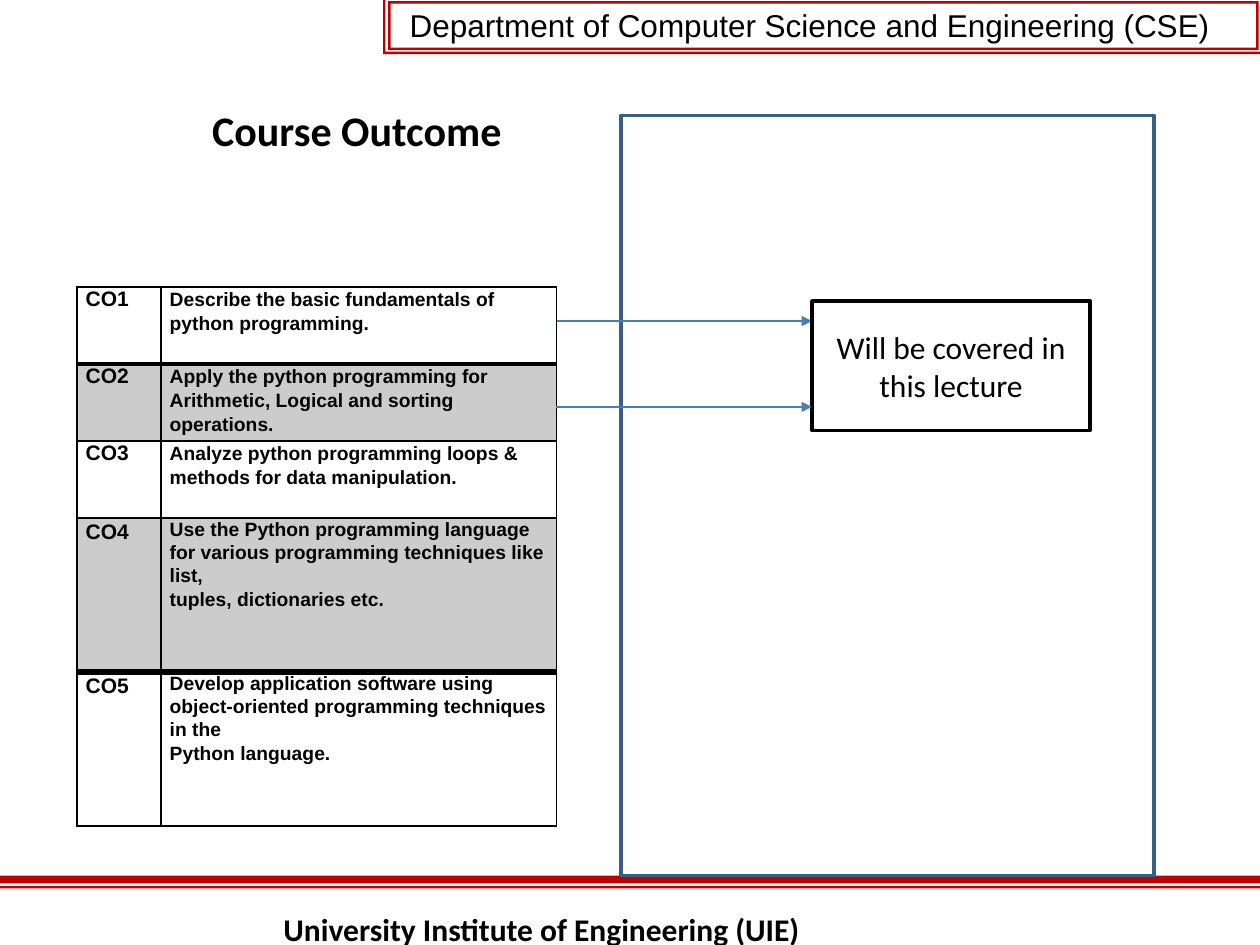
"""Build the course outcome slide with its table of outcomes and lecture coverage."""
from dataclasses import dataclass

from lxml.etree import SubElement
from pptx import Presentation
from pptx.dml.color import RGBColor
from pptx.enum.shapes import MSO_CONNECTOR, MSO_SHAPE
from pptx.enum.text import MSO_ANCHOR, MSO_AUTO_SIZE, PP_ALIGN
from pptx.oxml.ns import qn
from pptx.util import Pt

BLACK = RGBColor(0, 0, 0)
WHITE = RGBColor(255, 255, 255)
GRAY = RGBColor(0xCC, 0xCC, 0xCC)
RED = RGBColor(0xC0, 0, 0)
PANEL_BLUE = RGBColor(0x39, 0x5E, 0x89)
ARROW_BLUE = RGBColor(0x4A, 0x7D, 0xBA)


@dataclass(frozen=True)
class Box:
    left: float
    top: float
    width: float
    height: float

    def lengths(self) -> tuple:
        return Pt(self.left), Pt(self.top), Pt(self.width), Pt(self.height)

    def corners(self) -> list:
        right, bottom = self.left + self.width, self.top + self.height
        return [(self.left, self.top), (right, self.top), (right, bottom), (self.left, bottom)]


@dataclass(frozen=True)
class Outcome:
    code: str
    lines: tuple
    height: float
    code_spacing: float
    line_spacings: tuple
    fill: RGBColor = WHITE
    top_border: float = 1
    bottom_border: float = 1
    space_before: float = 0


OUTCOMES = [
    Outcome("CO1", ("Describe the basic fundamentals of python programming.",),
            44, 13.6, (Pt(13.6),), bottom_border=2),
    Outcome("CO2", ("Apply the python programming for Arithmetic, Logical and sorting operations.",),
            44, 13.7, (Pt(13.7),), GRAY, top_border=2, space_before=0.1),
    Outcome("CO3", ("Analyze python programming loops & methods for data manipulation.",),
            44, 13.6, (Pt(13.6),)),
    Outcome("CO4", ("Use the Python programming language for various programming techniques like list,",
                    "tuples, dictionaries etc."),
            88, 14.6, (1.07, Pt(13.7)), GRAY, bottom_border=4),
    Outcome("CO5", ("Develop application software using object-oriented programming techniques in the",
                    "Python language."),
            88, 14.6, (1.07, Pt(13.8)), top_border=4),
]


def format_text(paragraph, size: float, font: str, bold: bool = False, indent: float = 0) -> None:
    if indent:
        properties = paragraph._p.get_or_add_pPr()
        properties.set("marL", str(Pt(indent)))
        properties.set("indent", "0")
    for run in paragraph.runs:
        run.font.size = Pt(size)
        run.font.name = font
        run.font.bold = bold
        run.font.color.rgb = BLACK


def draw_contours(slide, contours: list) -> None:
    scaled = [[(Pt(x), Pt(y)) for x, y in contour] for contour in contours]
    builder = slide.shapes.build_freeform(*scaled[0][0])
    builder.add_line_segments(scaled[0][1:], close=True)
    for contour in scaled[1:]:
        builder.move_to(*contour[0])
        builder.add_line_segments(contour[1:], close=True)
    band = builder.convert_to_shape()
    band.shadow.inherit = False
    band.fill.solid()
    band.fill.fore_color.rgb = RED
    band.line.fill.background()


def add_frame(slide, box: Box, color: RGBColor):
    frame = slide.shapes.add_shape(MSO_SHAPE.RECTANGLE, *box.lengths())
    frame.shadow.inherit = False
    frame.fill.background()
    frame.line.color.rgb = color
    frame.line.width = Pt(2)
    return frame


def add_label(slide, box: Box, text: str, font: str, bold: bool = False, indent: float = 0):
    label = slide.shapes.add_textbox(*box.lengths())
    label.text_frame.word_wrap = True
    label.text_frame.text = text
    format_text(label.text_frame.paragraphs[0], 18, font, bold, indent)
    return label


def add_arrow(slide, y: float) -> None:
    arrow = slide.shapes.add_connector(MSO_CONNECTOR.STRAIGHT, Pt(318), Pt(y), Pt(464), Pt(y))
    arrow.line.color.rgb = ARROW_BLUE
    arrow.line.width = Pt(0.75)
    SubElement(arrow.line._get_or_add_ln(), qn("a:tailEnd"), type="triangle")
    SubElement(arrow._element.spPr, qn("a:effectLst"))


def fill_cell(cell, outcome: Outcome, lines: tuple, spacings: tuple, size: float) -> None:
    cell.margin_left = cell.margin_right = cell.margin_top = cell.margin_bottom = 0
    cell.text_frame.text = "\n".join(lines)
    for paragraph, spacing in zip(cell.text_frame.paragraphs, spacings):
        format_text(paragraph, size, "Arial", True, 5)
        paragraph.line_spacing = spacing
    if outcome.space_before:
        cell.text_frame.paragraphs[0].space_before = Pt(outcome.space_before)
    borders = {"a:lnL": 1, "a:lnR": 1, "a:lnT": outcome.top_border, "a:lnB": outcome.bottom_border}
    for tag, width in borders.items():
        border = SubElement(cell._tc.get_or_add_tcPr(), qn(tag), w=str(Pt(width)))
        SubElement(SubElement(border, qn("a:solidFill")), qn("a:srgbClr"), val=str(BLACK))
    cell.fill.solid()
    cell.fill.fore_color.rgb = outcome.fill


def add_outcomes(slide) -> None:
    box = Box(44, 164, 274, sum(outcome.height for outcome in OUTCOMES))
    table = slide.shapes.add_table(len(OUTCOMES), 2, *box.lengths()).table
    table.first_row = table.horz_banding = False
    for column, width in zip(table.columns, (48, 226)):
        column.width = Pt(width)
    for index, outcome in enumerate(OUTCOMES):
        table.rows[index].height = Pt(outcome.height)
        fill_cell(table.cell(index, 0), outcome, (outcome.code,), (Pt(outcome.code_spacing),), 12)
        fill_cell(table.cell(index, 1), outcome, outcome.lines, outcome.line_spacings, 11)


def main() -> None:
    presentation = Presentation()
    presentation.slide_width, presentation.slide_height = Pt(720), Pt(540)
    slide = presentation.slides.add_slide(presentation.slide_layouts[5])

    draw_contours(slide, [Box(0, 500.4, 720, 4.3).corners(), Box(0, 506.2, 720, 1.4).corners()])
    header_edge = [(218.9, 0), (220.3, 0), (220.3, 29.5), (720, 29.5), (720, 31), (218.9, 31)]
    header_hole = Box(223.2, 2.1, 494.7, 25.2).corners()[::-1]
    draw_contours(slide, [Box(221.8, 0.7, 497.5, 28).corners(), header_hole, header_edge])

    add_frame(slide, Box(355, 66, 304.5, 434.4), PANEL_BLUE)

    title = slide.shapes.title
    title.left, title.top, title.width, title.height = Box(114, 56, 217, 36).lengths()
    title.text_frame.text = "Course Outcome"
    title.text_frame.auto_size = MSO_AUTO_SIZE.NONE
    title.text_frame.vertical_anchor = MSO_ANCHOR.TOP
    title.text_frame.paragraphs[0].alignment = PP_ALIGN.LEFT
    format_text(title.text_frame.paragraphs[0], 24, "Calibri", True)

    add_arrow(slide, 183.5)
    coverage = add_frame(slide, Box(464, 172, 159, 74), BLACK)
    coverage.fill.solid()
    coverage.fill.fore_color.rgb = WHITE
    coverage.text_frame.word_wrap = True
    coverage.text_frame.text = "Will be covered in this lecture"
    coverage.text_frame.paragraphs[0].alignment = PP_ALIGN.CENTER
    format_text(coverage.text_frame.paragraphs[0], 18, "Calibri")

    add_label(slide, Box(183, 0, 537, 29), "Department of Computer Science and Engineering (CSE)",
              "Arial", indent=44)
    add_outcomes(slide)
    add_arrow(slide, 232.5)

    institute = add_label(slide, Box(162, 520, 312.5, 10),
                          "University Institute of Engineering (UIE)", "Calibri", True).text_frame
    institute.margin_left = institute.margin_right = 0
    institute.margin_top = institute.margin_bottom = 0

    presentation.save("out.pptx")


if __name__ == "__main__":
    main()
